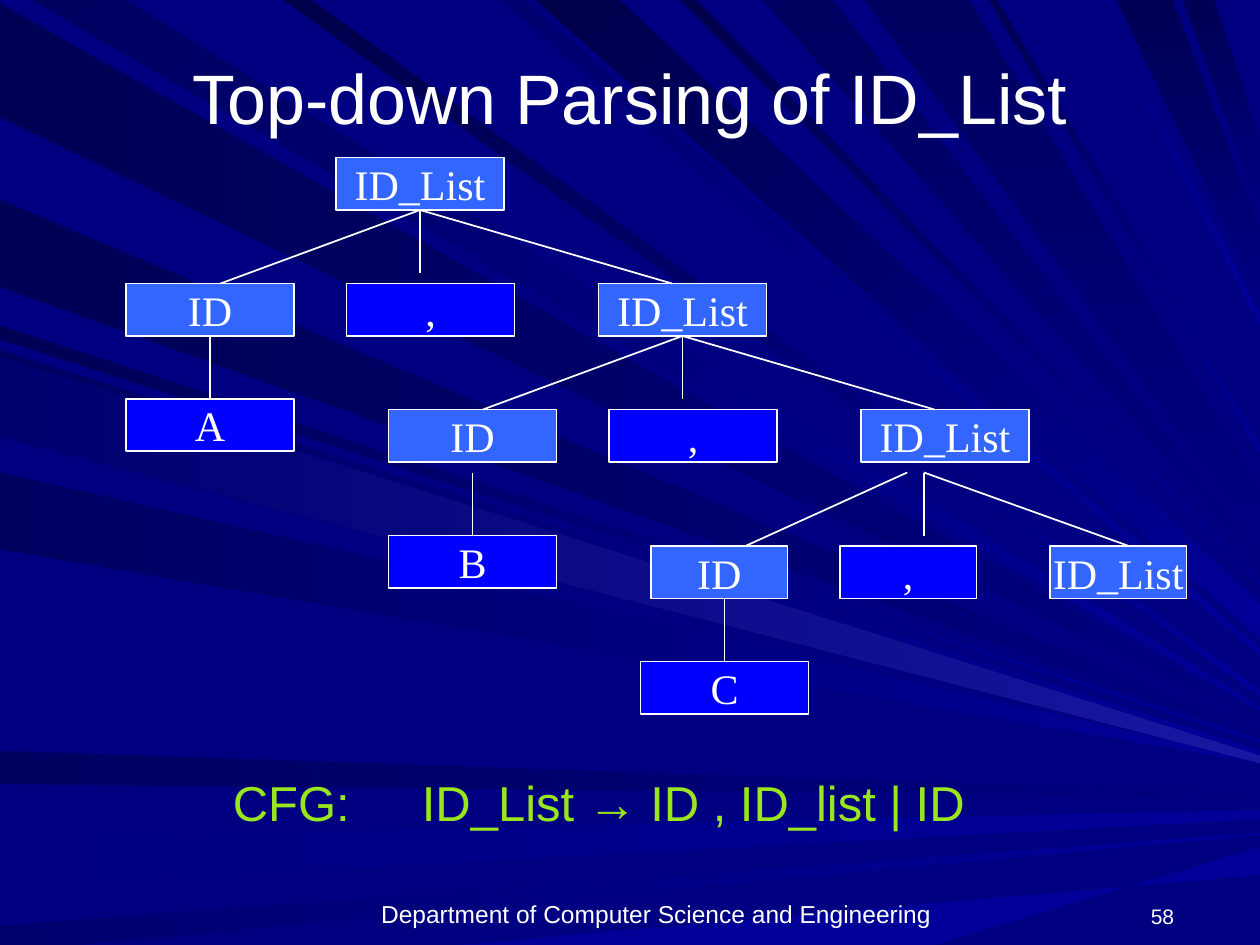
from lxml.etree import SubElement
from pptx import Presentation
from pptx.dml.color import RGBColor
from pptx.enum.shapes import MSO_CONNECTOR, MSO_SHAPE
from pptx.enum.text import MSO_ANCHOR, PP_ALIGN
from pptx.oxml.ns import qn
from pptx.util import Pt

WIDTH, HEIGHT = 720, 540
COLORS = {
    "white": "FFFFFF",
    "nonterminal": "3366FF",
    "terminal": "0000FF",
    "grammar": "9AE61E",
    "black": "00004A",
    "night": "000055",
    "dusk": "000061",
    "deep": "00006F",
    "navy": "000080",
    "royal": "000099",
    "glow": "1717A2",
}

# Background rays: edge they start on, colours, span on that edge, span on the right edge
RAYS = [
    ("left", "night", "navy", (2, 67), (410, 411)),
    ("top", "dusk", "royal", (18, 72), (404, 406)),
    ("left", "dusk", "navy", (429, 448), (454, 455)),
    ("left", "navy", "royal", (479, 507), (463, 468)),
    ("left", "deep", "royal", (529, 544), (476, 477)),
    ("bottom", "royal", "royal", (262, 534), (484, 500)),
    ("left", "night", "royal", (186, 194), (423, 424)),
    ("left", "night", "navy", (114, 164), (420, 421)),
    ("top", "deep", "royal", (286, 300), (371, 375)),
    ("top", "black", "royal", (306, 354), (345, 365)),
    ("top", "black", "royal", (389, 398), (333, 334)),
    ("top", "dusk", "navy", (436, 476), (320, 321)),
    ("top", "night", "navy", (638, 670), (132, 170)),
    ("top", "night", "navy", (676, 694), (82, 120)),
    ("left", "dusk", "royal", (200, 246), (429, 433)),
    ("left", "dusk", "royal", (270, 314), (435, 436)),
    ("top", "black", "royal", (162, 178), (394, 398)),
    ("top", "dusk", "navy", (494, 554), (281, 308)),
    ("top", "night", "royal", (565, 570), (255, 259)),
    ("top", "navy", "royal", (623, 628), (180, 186)),
    ("left", "deep", "glow", (204, 250), (432, 436)),
]

BOX_WIDTH, BOX_HEIGHT, LEAF_GAP = 96, 30, 36


def rgb(name):
    return RGBColor.from_string(COLORS[name])


def draw_ray(slide, edge, start, end, near, far):
    """Draw a beam that runs from its edge to the right side of the slide."""
    if edge == "left":
        near_points, angle = [(0, y) for y in near], 0
    else:
        y = 0 if edge == "top" else HEIGHT
        near_points, angle = [(x, y) for x in reversed(near)], 90 if end == "navy" else 45
    far_points = [(WIDTH, y) for y in reversed(far)]
    corners = [(Pt(x), Pt(y)) for x, y in near_points + far_points]
    builder = slide.shapes.build_freeform(*corners[0])
    builder.add_line_segments(corners[1:], close=True)
    ray = builder.convert_to_shape()
    ray.shadow.inherit = False
    ray.line.fill.background()
    ray.fill.gradient()
    ray.fill.gradient_angle = -angle % 360
    for stop, color in zip(ray.fill.gradient_stops, (start, end)):
        stop.color.rgb = rgb(color)


def write(frame, text, size, color="white", font="Arial", space_before=0,
          align=PP_ALIGN.CENTER, anchor=MSO_ANCHOR.MIDDLE, wrap=True):
    frame.word_wrap = wrap
    frame.vertical_anchor = anchor
    paragraph = frame.paragraphs[0]
    paragraph.alignment = align
    paragraph.space_before = Pt(space_before)
    run = paragraph.add_run()
    run.text = text
    run.font.color.rgb = rgb(color)
    for attribute, value in {"name": font, "size": Pt(size)}.items():
        setattr(run.font, attribute, value)


def add_label(slide, box, text, size, **style):
    label = slide.shapes.add_textbox(*map(Pt, box))
    write(label.text_frame, text, size, **style)


def add_node(slide, text, left, top, width=BOX_WIDTH):
    kind = "nonterminal" if text.startswith("ID") else "terminal"
    node = slide.shapes.add_shape(MSO_SHAPE.RECTANGLE, *map(Pt, (left, top, width, BOX_HEIGHT)))
    node.shadow.inherit = False
    node.fill.solid()
    node.fill.fore_color.rgb = rgb(kind)
    node.line.color.rgb = rgb("white")
    node.line.width = Pt(1)
    write(node.text_frame, text, 24, font="Times New Roman", wrap=False)


def add_branch(slide, start, end):
    branch = slide.shapes.add_connector(MSO_CONNECTOR.STRAIGHT, *map(Pt, (*start, *end)))
    branch.line.color.rgb = rgb("white")
    branch.line.width = Pt(1)
    SubElement(branch._element.spPr, qn("a:effectLst"))


def add_production(slide, lefts, top, starts, ends, width=BOX_WIDTH):
    """Draw the children ID , ID_List and the branches down to them."""
    for text, left in zip(("ID", ",", "ID_List"), lefts):
        add_node(slide, text, left, top, width)
    for start, end in zip(starts, ends):
        add_branch(slide, start, end)


def add_leaf(slide, text, left, branch_top):
    center, top = left + BOX_WIDTH / 2, branch_top + LEAF_GAP
    add_branch(slide, (center, branch_top), (center, top))
    add_node(slide, text, left, top)


def draw_tree(slide):
    add_node(slide, "ID_List", 192, 90)
    for level in range(2):
        dx, dy = 150 * level, 72 * level
        parent = (240 + dx, 120 + dy)
        ends = [(x + dx, y + dy) for x, y in ((126, 162), (240, 156), (384, 162))]
        add_production(slide, [x + dx for x in (72, 198, 342)], 162 + dy, [parent] * 3, ends)
    add_production(slide, (372, 480, 600), 312,
                   [(518.4, 270), (528, 270), (528, 270)],
                   [(426, 312), (528, 306), (645, 312)], width=78)
    for text, left, branch_top in (("A", 72, 192), ("B", 222, 270), ("C", 366, 342)):
        add_leaf(slide, text, left, branch_top)


def main():
    deck = Presentation()
    deck.slide_width, deck.slide_height = Pt(WIDTH), Pt(HEIGHT)
    slide = deck.slides.add_slide(deck.slide_layouts[6])
    slide.background.fill.solid()
    slide.background.fill.fore_color.rgb = rgb("navy")
    for ray in RAYS:
        draw_ray(slide, *ray)
    add_label(slide, (132, 510, 486, 24), "Department of Computer Science and Engineering", 14,
              anchor=MSO_ANCHOR.BOTTOM)
    add_label(slide, (630, 510, 48, 24), "58", 12, align=PP_ALIGN.RIGHT, anchor=MSO_ANCHOR.BOTTOM)
    add_label(slide, (36, 22, 648, 66), "Top-down Parsing of ID_List", 40)
    draw_tree(slide)
    add_label(slide, (126, 438, 469, 41), "CFG:\t\tID_List → ID , ID_list | ID", 28, color="grammar",
              space_before=7, align=PP_ALIGN.LEFT, anchor=MSO_ANCHOR.TOP, wrap=False)
    deck.save("out.pptx")


if __name__ == "__main__":
    main()
